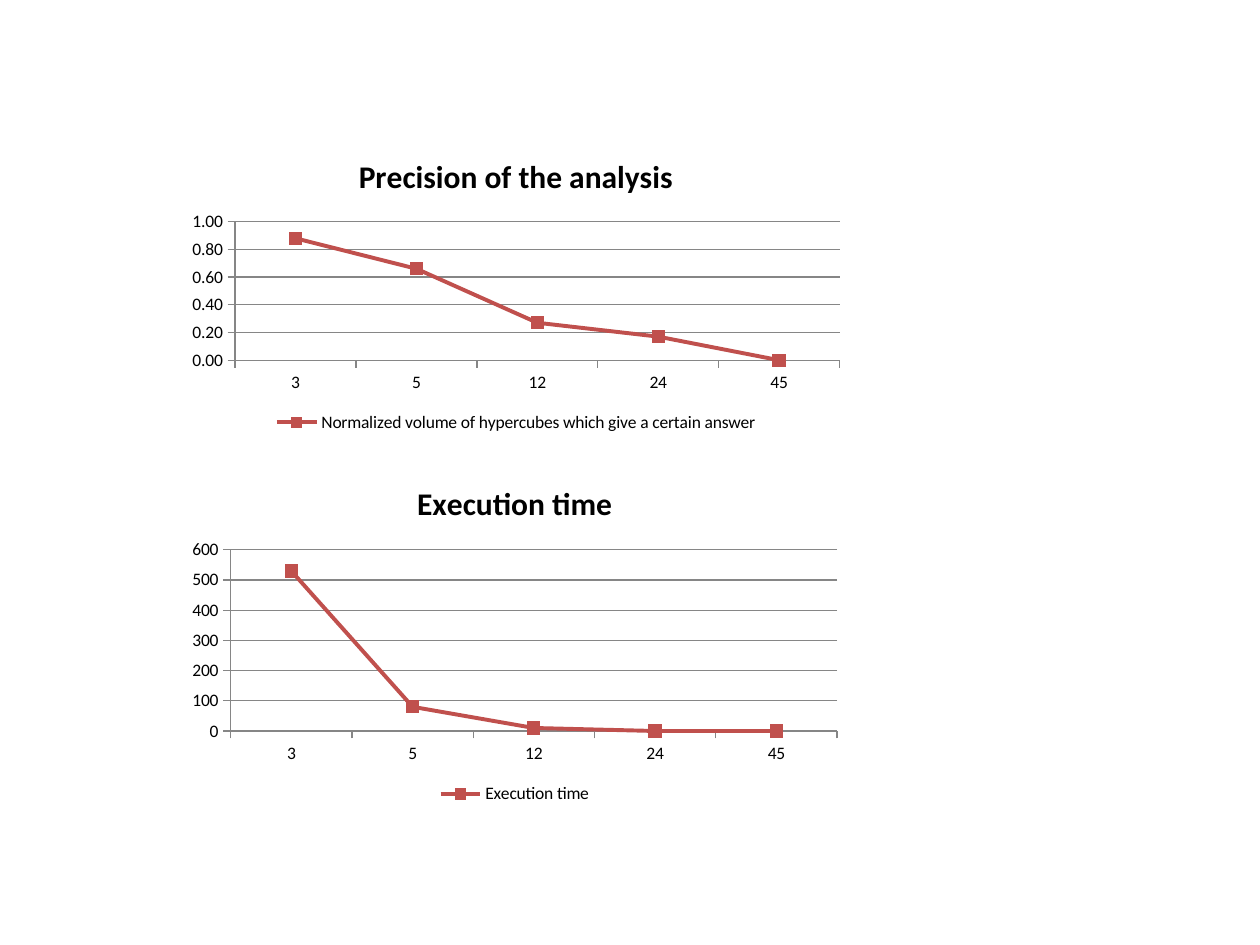
from dataclasses import dataclass

from pptx import Presentation
from pptx.chart.data import CategoryChartData
from pptx.dml.color import RGBColor
from pptx.enum.chart import (XL_CHART_TYPE, XL_LEGEND_POSITION,
                             XL_MARKER_STYLE, XL_TICK_MARK)
from pptx.util import Inches, Pt

LINE = XL_CHART_TYPE.LINE_MARKERS
BOTTOM = XL_LEGEND_POSITION.BOTTOM
SQUARE = XL_MARKER_STYLE.SQUARE
OUT = XL_TICK_MARK.OUTSIDE
BLANK = 6


@dataclass(frozen=True)
class Theme:
    font: str = "Calibri"
    ink: RGBColor = RGBColor(0, 0, 0)
    rule: RGBColor = RGBColor(0x86, 0x86, 0x86)
    mark: RGBColor = RGBColor(0xC0, 0x50, 0x4D)
    text: Pt = Pt(10)
    title: Pt = Pt(18)
    thin: Pt = Pt(0.75)
    thick: Pt = Pt(2.25)


THEME = Theme()
STEPS = ("3", "5", "12", "24", "45")


def set_font(font, size, bold=False):
    font.name = THEME.font
    font.size = size
    font.bold = bold
    font.color.rgb = THEME.ink


def set_line(line, color, width):
    line.color.rgb = color
    line.width = width


def add_title(chart, text):
    chart.has_title = True
    run = chart.chart_title.text_frame.paragraphs[0].add_run()
    run.text = text
    set_font(run.font, THEME.title, True)
    chart.chart_title.include_in_layout = False


def style_axes(chart, top, step, form):
    for axis in (chart.category_axis, chart.value_axis):
        axis.major_tick_mark = OUT
        set_line(axis.format.line, THEME.rule, THEME.thin)
    scale = chart.value_axis
    scale.minimum_scale = 0
    scale.maximum_scale = top
    scale.major_unit = step
    scale.has_major_gridlines = True
    set_line(scale.major_gridlines.format.line, THEME.rule, THEME.thin)
    scale.tick_labels.number_format = form
    scale.tick_labels.number_format_is_linked = False


def style_plot(chart):
    chart.plots[0].vary_by_categories = False
    for row in chart.plots[0].series:
        row.smooth = False
        set_line(row.format.line, THEME.mark, THEME.thick)
        row.marker.style = SQUARE
        row.marker.size = 7
        row.marker.format.fill.solid()
        row.marker.format.fill.fore_color.rgb = THEME.mark
        set_line(row.marker.format.line, THEME.mark, THEME.thin)


def add_line_chart(slide, box, title, name, values, top, step, form):
    data = CategoryChartData(number_format=form)
    data.categories = STEPS
    data.add_series(name, values)
    place = [Inches(side) for side in box]
    chart = slide.shapes.add_chart(LINE, *place, data).chart
    set_font(chart.font, THEME.text)
    add_title(chart, title)
    style_axes(chart, top, step, form)
    style_plot(chart)
    chart.has_legend = True
    chart.legend.position = BOTTOM
    chart.legend.include_in_layout = False


def main():
    deck = Presentation()
    deck.slide_width, deck.slide_height = Inches(10), Inches(7.5)
    slide = deck.slides.add_slide(deck.slide_layouts[BLANK])

    # Lower chart: run time
    add_line_chart(slide, (1.42, 3.67, 5.33, 2.75), "Execution time",
                   "Execution time", (530, 80, 10, 0, 0), 600, 100, "General")

    # Upper chart: precision
    add_line_chart(slide, (1.42, 1.08, 5.35, 2.39), "Precision of the analysis",
                   "Normalized volume of hypercubes which give a certain answer",
                   (0.88, 0.66, 0.27, 0.17, 0), 1, 0.2, "0.00")

    deck.save("out.pptx")


if __name__ == "__main__":
    main()
